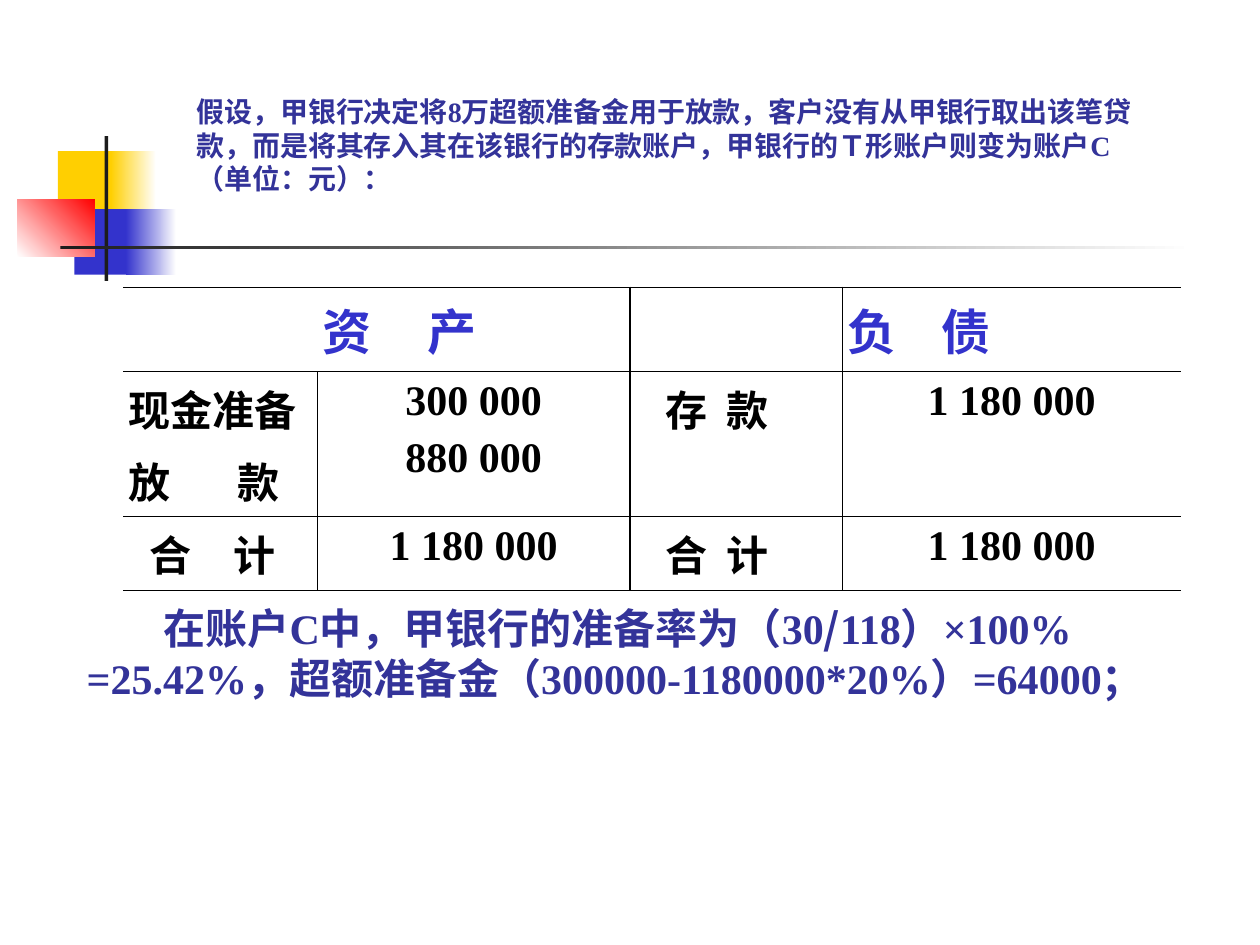
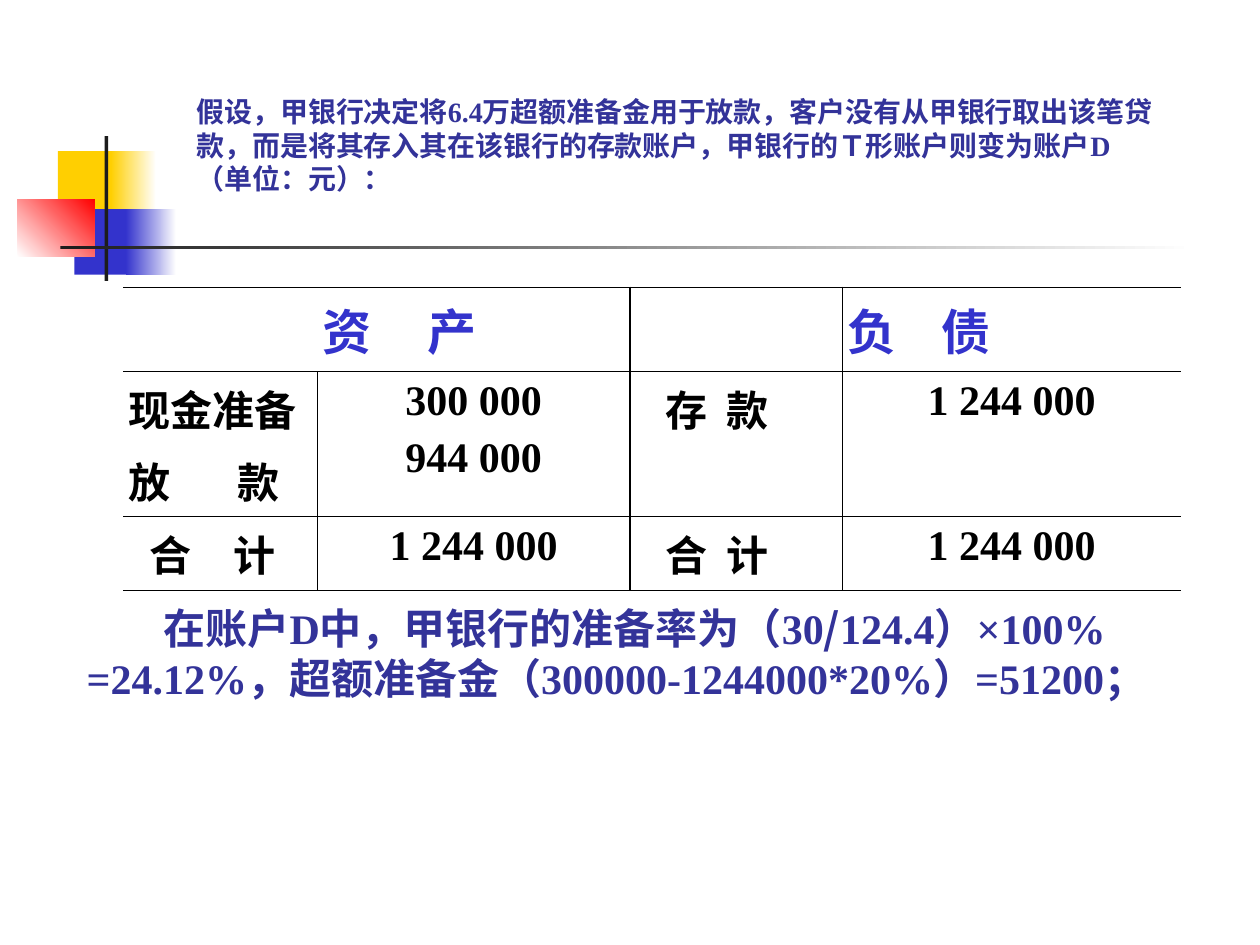
from typing import NamedTuple

from lxml.etree import SubElement
from pptx import Presentation
from pptx.dml.color import RGBColor
from pptx.enum.shapes import MSO_SHAPE
from pptx.enum.text import MSO_ANCHOR, MSO_AUTO_SIZE, PP_ALIGN
from pptx.oxml.ns import qn
from pptx.util import Emu, Inches, Pt

# The slide is a grid of 100 columns by 75 rows of square units.
COLUMNS, ROWS = 100, 75
UNIT = Inches(10) // COLUMNS

BLACK, WHITE, CHARCOAL = "000000", "FFFFFF", "1C1C1C"
YELLOW, BLUE, RED, NAVY, SHADOW = "FFCF01", "3333CC", "FF0000", "333399", "B2B2B2"
SERIF, SANS, CHINESE = "Times New Roman", "Cabin", "Noto Sans CJK SC"
PLAIN_TABLE_STYLE = "{2D5ABB26-0587-4C30-8999-92F81FD0307C}"
OUTER_LINE, INNER_LINE = 0.75, 0.45


class Box(NamedTuple):
    left: float
    top: float
    width: float
    height: float

    def lengths(self) -> list[Emu]:
        return [units(value) for value in self]


class Ornament(NamedTuple):
    box: Box
    color: str
    fade_to: str | None = None
    angle: int = 0


class Label(NamedTuple):
    """A table label; tracking spreads its characters apart."""
    text: str
    tracking: float = 0
    indent: float = 0


class Account(NamedTuple):
    name: str
    loan: str
    loans_total: str
    balance: str
    ratio_base: str
    ratio: str
    excess: str


HEADING_BOX = Box(14.6, 6.8, 78.4, 11.8)
TABLE_BOX = Box(9.8, 22.8, 83.9, 24)
CONCLUSION_BOX = Box(5.9, 46.6, 87, 17.3)
COLUMN_WIDTHS = (15.4, 24.8, 16.9, 26.8)
ROW_HEIGHTS = (6.7, 11.5, 5.8)

ORNAMENTS = (
    Ornament(Box(4.6, 12, 4.8, 5.2), YELLOW),
    Ornament(Box(8.8, 12, 3.6, 5.2), YELLOW, WHITE),
    Ornament(Box(5.9, 16.6, 4.6, 5.2), BLUE),
    Ornament(Box(10, 16.6, 4, 5.2), BLUE, WHITE),
    Ornament(Box(1.4, 15.8, 6.1, 4.6), WHITE, RED, 45),
    Ornament(Box(8.3, 10.8, 0.3, 11.5), CHARCOAL),
    Ornament(Box(4.8, 19.5, 90, 0.3), CHARCOAL, WHITE),
)

ASSETS, LIABILITIES = Label("资 产", 12.8), Label("负 债", 9.6)
CASH, LOANS = Label("现金准备"), Label("放 款", 16.4)
DEPOSITS = Label("存 款", 2.7, 2.4)
ASSET_TOTAL, LIABILITY_TOTAL = Label("合　计", indent=1.7), Label("合 计", 2.7, 2.4)

ACCOUNTS = (
    Account("C", "8", "880 000", "1 180 000", "118", "25.42", "64000"),
    Account("D", "6.4", "944 000", "1 244 000", "124.4", "24.12", "51200"),
)


def units(value: float) -> Emu:
    return Emu(round(value * UNIT))


def rgb(color: str) -> RGBColor:
    return RGBColor.from_string(color)


def add_text(paragraph, text: str, *, size: float, color: str, font: str = SERIF,
             tracking: float = 0, shadow: bool = False) -> None:
    """Append one bold run."""
    run = paragraph.add_run()
    run.text = text
    run.font.size, run.font.bold, run.font.name = Pt(size), True, font
    run.font.color.rgb = rgb(color)
    properties = run.font._element
    if tracking:
        properties.set("spc", str(round(tracking * 100)))
    properties.find(qn("a:latin")).addnext(
        properties.makeelement(qn("a:ea"), {"typeface": CHINESE}))
    if shadow:
        effects = properties.makeelement(qn("a:effectLst"), {})
        properties.find(qn("a:solidFill")).addnext(effects)
        outer = SubElement(effects, qn("a:outerShdw"), dist="17961", dir="2700000")
        SubElement(outer, qn("a:srgbClr"), val=SHADOW)


def set_indent(paragraph, left: float = 0, first: float = 0) -> None:
    properties = paragraph._p.get_or_add_pPr()
    properties.set("marL", str(units(left)))
    properties.set("indent", str(units(first)))


def prepare_frame(frame, top_margin: float) -> None:
    frame.word_wrap = True
    frame.auto_size = MSO_AUTO_SIZE.NONE
    frame.vertical_anchor = MSO_ANCHOR.TOP
    frame.margin_left = frame.margin_right = units(1)
    frame.margin_top, frame.margin_bottom = units(top_margin), units(0.5)


def add_ornament(slide, ornament: Ornament):
    shape = slide.shapes.add_shape(MSO_SHAPE.RECTANGLE, *ornament.box.lengths())
    shape.shadow.inherit = False
    shape.line.fill.background()
    if ornament.fade_to is None:
        shape.fill.solid()
        shape.fill.fore_color.rgb = rgb(ornament.color)
    else:
        shape.fill.gradient()
        shape.fill.gradient_angle = ornament.angle
        for stop, color in zip(shape.fill.gradient_stops, (ornament.color, ornament.fade_to)):
            stop.color.rgb = rgb(color)
    return shape


def decorate_layout(layout, slide) -> None:
    """Draw the ornaments once and move them behind the layout's placeholders."""
    tree = layout.shapes.element
    for index, ornament in enumerate(ORNAMENTS):
        element = add_ornament(slide, ornament).element
        element.nvSpPr.cNvPr.set("id", str(100 + index))
        tree.insert(2 + index, element)


def add_heading(slide, account: Account) -> None:
    heading = slide.shapes.title
    heading.left, heading.top, heading.width, heading.height = HEADING_BOX.lengths()
    prepare_frame(heading.text_frame, 0.7)
    paragraph = heading.text_frame.paragraphs[0]
    paragraph.alignment = PP_ALIGN.LEFT
    add_text(paragraph, f"假设，甲银行决定将{account.loan}万超额准备金用于放款，客户没有从甲银行"
             "取出该笔贷款，而是将其存入其在该银行的存款账户，甲银行的Ｔ形账户则变为账户"
             f"{account.name}（单位：元）：", size=16, color=NAVY, shadow=True)


def add_border(cell, side: str, width: float) -> None:
    line = SubElement(cell._tc.get_or_add_tcPr(), qn(f"a:ln{side}"), w=str(Pt(width)))
    SubElement(SubElement(line, qn("a:solidFill")), qn("a:srgbClr"), val=BLACK)


def draw_borders(cell, row: int, column: int) -> None:
    """Rule every row; the header is divided only between the two sides."""
    last_row, last_column = len(ROW_HEIGHTS) - 1, len(COLUMN_WIDTHS) - 1
    dividers = {1} if row == 0 else set(range(last_column))
    if column - 1 in dividers:
        add_border(cell, "L", OUTER_LINE)
    if column in dividers:
        add_border(cell, "R", OUTER_LINE)
    add_border(cell, "T", OUTER_LINE if row == 0 else INNER_LINE)
    add_border(cell, "B", OUTER_LINE if row == last_row else INNER_LINE)


def fill_cell(cell, entries: tuple, is_header: bool) -> None:
    """Write labels at the left and amounts, given as strings, in the middle."""
    cell.margin_left = cell.margin_right = units(0.4)
    cell.margin_top = cell.margin_bottom = units(0.5)
    cell.vertical_anchor = MSO_ANCHOR.MIDDLE if is_header else MSO_ANCHOR.TOP
    size, color = (28, BLUE) if is_header else (24, BLACK)
    frame = cell.text_frame
    for index, entry in enumerate(entries):
        paragraph = frame.add_paragraph() if index else frame.paragraphs[0]
        if index:
            paragraph.space_before = Pt(6)
        if isinstance(entry, Label):
            set_indent(paragraph, entry.indent)
            add_text(paragraph, entry.text, size=size, color=color, font=SANS,
                     tracking=entry.tracking)
        else:
            paragraph.alignment = PP_ALIGN.CENTER
            add_text(paragraph, entry, size=size, color=color)


def add_account_table(slide, account: Account) -> None:
    balance = (account.balance,)
    contents = (
        ((), (ASSETS,), (), (LIABILITIES,)),
        ((CASH, LOANS), ("300 000", account.loans_total), (DEPOSITS,), balance),
        ((ASSET_TOTAL,), balance, (LIABILITY_TOTAL,), balance),
    )
    table = slide.shapes.add_table(len(ROW_HEIGHTS), len(COLUMN_WIDTHS),
                                   *TABLE_BOX.lengths()).table
    table.first_row = table.horz_banding = False
    table._tbl.tblPr.find(qn("a:tableStyleId")).text = PLAIN_TABLE_STYLE
    for column, width in zip(table.columns, COLUMN_WIDTHS):
        column.width = units(width)
    for row, height in zip(table.rows, ROW_HEIGHTS):
        row.height = units(height)
    for row_index, row_contents in enumerate(contents):
        for column_index, entries in enumerate(row_contents):
            cell = table.cell(row_index, column_index)
            fill_cell(cell, entries, is_header=row_index == 0)
            draw_borders(cell, row_index, column_index)
            cell.fill.background()


def add_conclusion(slide, account: Account) -> None:
    frame = slide.shapes.add_textbox(*CONCLUSION_BOX.lengths()).text_frame
    prepare_frame(frame, 1.2)
    paragraph = frame.paragraphs[0]
    set_indent(paragraph, first=6.1)
    deposits = account.balance.replace(" ", "")
    pieces = (
        (f"在账户{account.name}中，甲银行的准备率为（30", SERIF),
        ("/", CHINESE),
        (f"{account.ratio_base}）×100% ={account.ratio}%，超额准备金"
         f"（300000-{deposits}*20%）={account.excess}；", SERIF),
    )
    for text, font in pieces:
        add_text(paragraph, text, size=24, color=NAVY, font=font, shadow=True)


def main() -> None:
    presentation = Presentation()
    presentation.slide_width, presentation.slide_height = units(COLUMNS), units(ROWS)
    layout = presentation.slide_layouts.get_by_name("Title Only")
    for index, account in enumerate(ACCOUNTS):
        slide = presentation.slides.add_slide(layout)
        if index == 0:
            decorate_layout(layout, slide)
        add_heading(slide, account)
        add_account_table(slide, account)
        add_conclusion(slide, account)
    presentation.save("out.pptx")


if __name__ == "__main__":
    main()
